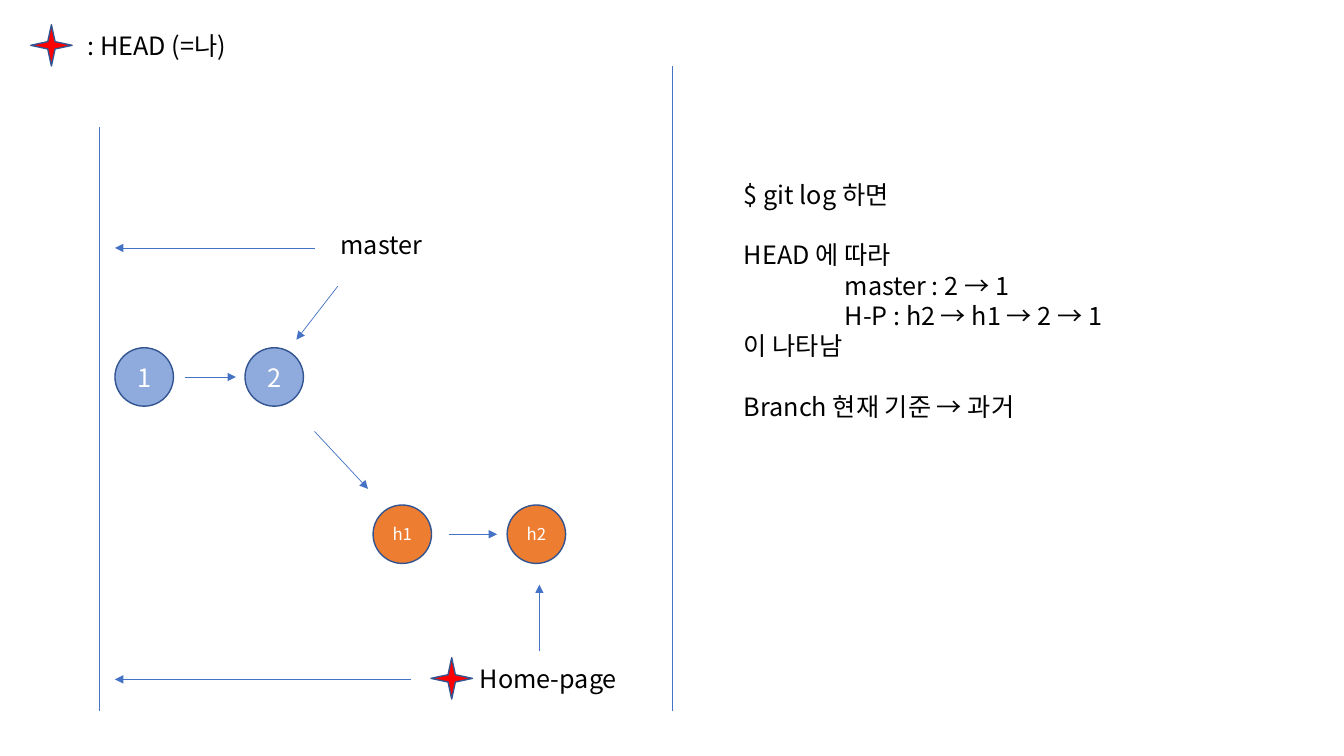
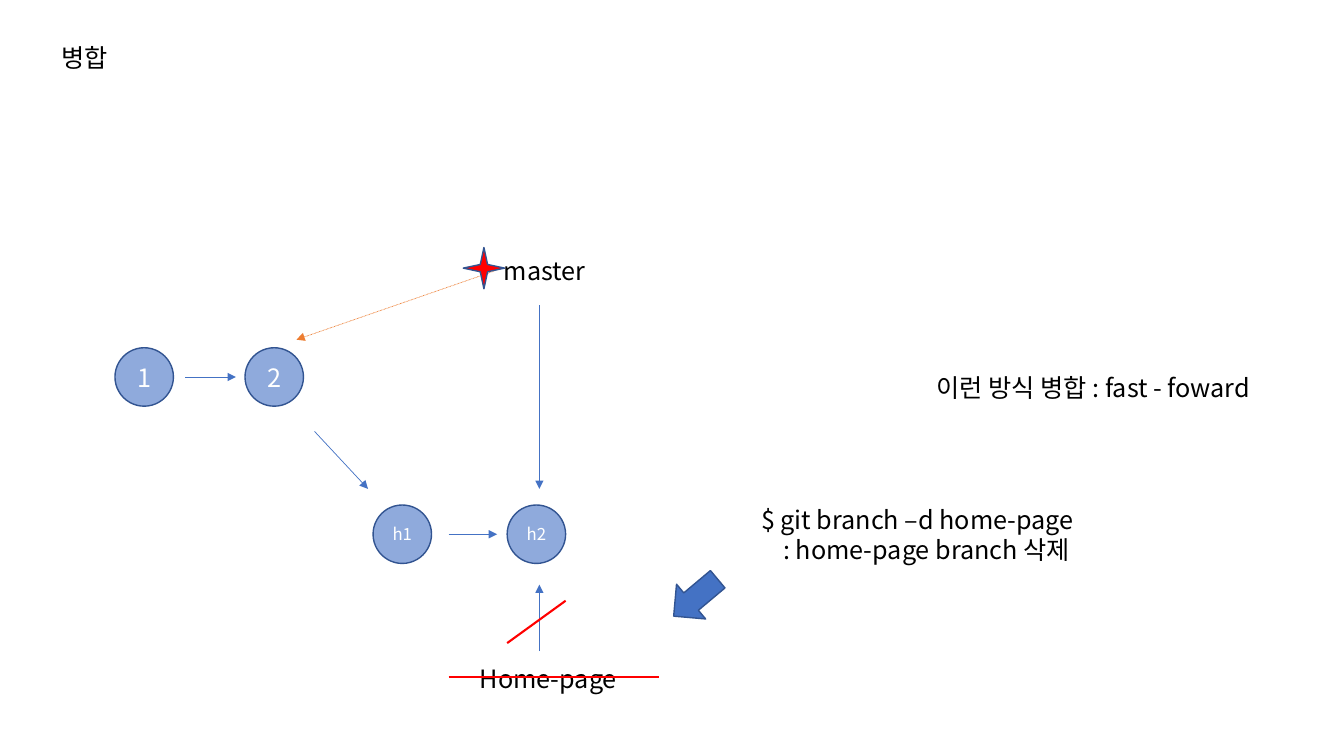
"""Two slides on git branches: HEAD and log, then a fast-forward merge."""
from lxml.etree import SubElement
from pptx import Presentation
from pptx.dml.color import RGBColor
from pptx.enum.dml import MSO_LINE
from pptx.enum.shapes import MSO_CONNECTOR as CONN, MSO_SHAPE as SHAPE
from pptx.enum.text import MSO_ANCHOR as ANCHOR, PP_ALIGN as ALIGN
from pptx.oxml.ns import qn
from pptx.util import Inches, Pt

FONT = "Noto Sans CJK KR"
BLUE, PALE, EDGE = "4472C4", "8FAADC", "325491"
ORANGE, RED, WHITE, BLACK = "ED7D31", "FF0000", "FFFFFF", "000000"
W, H = 13.33, 7.5
MID = W / 2
NODE, STAR, LEADING = 0.58, 0.41, 21.6

COLS = (1.43, 2.72, 3.99, 5.32)
MAIN, BRANCH = 3.74, 5.3
NODES = [("1", COLS[0], MAIN, 18), ("2", COLS[1], MAIN, 18),
         ("h1", COLS[2], BRANCH, 12), ("h2", COLS[3], BRANCH, 12)]
HISTORY = [((1.84, MAIN), (2.34, MAIN)), ((3.12, 4.28), (3.65, 4.85)),
           ((4.45, BRANCH), (4.93, BRANCH)), ((5.35, 6.46), (5.35, 5.8))]
TO_MASTER = (2.94, 3.37)
HOME_Y = 6.73
AXIS, REACH, FLOOR = 0.99, 1.14, 7.05

LOG_NOTES = [("$ git log 하면", 0, 0), ("HEAD 에 따라", 0, 1),
             ("master : 2 → 1", 1, 0), ("H-P : h2 → h1 → 2 → 1", 1, 0),
             ("이 나타남", 0, 0), ("Branch 현재 기준 → 과거", 0, 1)]
DELETE_NOTES = [("$ git branch –d home-page", 0, 0),
                (": home-page branch 삭제", 0.22, 0)]


def rgb(color):
    return RGBColor.from_string(color)


def write(p, text, size=18, color=BLACK):
    r = p.add_run()
    r.text = text
    r.font.size, r.font.name = Pt(size), FONT
    r.font.color.rgb = rgb(color)
    SubElement(r.font._element, qn("a:ea")).set("typeface", FONT)


def add_text(s, x, y, w, lines):
    if isinstance(lines, str):
        lines = [(lines, 0, 0)]
    rows = len(lines) + sum(gap for _, _, gap in lines)
    tf = s.shapes.add_textbox(Inches(x), Inches(y), Inches(w),
                              Inches(0.1 + rows * LEADING / 72)).text_frame
    tf.word_wrap = True
    for i, (text, indent, gap) in enumerate(lines):
        p = tf.add_paragraph() if i else tf.paragraphs[0]
        p.line_spacing, p.space_before = Pt(LEADING), Pt(gap * LEADING)
        p._p.get_or_add_pPr().set("marL", str(Inches(indent)))
        write(p, text)


def add_shape(s, kind, cx, cy, w, h, fill, text="", size=18, turn=0):
    sp = s.shapes.add_shape(kind, Inches(cx - w / 2), Inches(cy - h / 2),
                            Inches(w), Inches(h))
    sp.shadow.inherit = False
    sp.rotation = turn
    sp.fill.solid()
    sp.fill.fore_color.rgb = rgb(fill)
    sp.line.color.rgb, sp.line.width = rgb(EDGE), Pt(1)
    if text:
        tf = sp.text_frame
        tf.vertical_anchor = ANCHOR.MIDDLE
        tf.paragraphs[0].alignment = ALIGN.CENTER
        write(tf.paragraphs[0], text, size=size, color=WHITE)


def add_star(s, cx, cy):
    add_shape(s, SHAPE.STAR_4_POINT, cx, cy, STAR, STAR, RED)


def add_line(s, start, end, color=BLUE, width=0.5, dash=None, arrow=True):
    c = s.shapes.add_connector(CONN.STRAIGHT, *map(Inches, start + end))
    c.line.color.rgb, c.line.width = rgb(color), Pt(width)
    if dash:
        c.line.dash_style = dash
    if arrow:
        SubElement(c.line._get_or_add_ln(), qn("a:tailEnd")).set("type", "triangle")
    SubElement(c._element.spPr, qn("a:effectLst"))


def add_graph(s, branch_fill):
    for start, end in HISTORY:
        add_line(s, start, end)
    for name, x, y, size in NODES:
        fill = PALE if y == MAIN else branch_fill
        add_shape(s, SHAPE.OVAL, x, y, NODE, NODE, fill, text=name, size=size)
    add_text(s, 4.66, HOME_Y - 0.2, 2.18, "Home-page")


def head_slide(s):
    add_graph(s, ORANGE)
    add_line(s, (3.35, 2.84), TO_MASTER)
    add_text(s, 3.28, 2.23, 1.39, "master")
    add_star(s, 0.51, 0.45)
    add_text(s, 0.77, 0.25, 1.87, ": HEAD (=나)")
    add_star(s, 4.48, HOME_Y)
    for x, top in ((MID, 0.65), (AXIS, 1.26)):
        add_line(s, (x, FLOOR), (x, top), arrow=False)
    for x, y in ((3.12, 2.46), (4.08, 6.74)):
        add_line(s, (x, y), (REACH, y))
    add_text(s, 7.28, 1.73, 5.07, LOG_NOTES)


def merge_slide(s):
    add_text(s, 0.51, 0.37, 2.43, "병합")
    add_graph(s, PALE)
    add_line(s, (4.9, 2.69), TO_MASTER, color=ORANGE, dash=MSO_LINE.ROUND_DOT)
    add_line(s, (5.35, 3.03), (5.35, 4.85))
    add_text(s, 4.9, 2.48, 1.39, "master")
    add_star(s, 4.8, 2.66)
    for start, end in (((4.45, 6.72), (6.54, 6.72)), ((5.03, 6.38), (5.61, 5.96))):
        add_line(s, start, end, color=RED, width=1.5, arrow=False)
    add_shape(s, SHAPE.DOWN_ARROW, 6.9, 5.93, 0.45, 0.57, BLUE, turn=50)
    add_text(s, 7.45, 4.95, 4.64, DELETE_NOTES)
    add_text(s, 9.19, 3.64, 3.67, "이런 방식 병합 : fast - foward")


def main():
    prs = Presentation()
    prs.slide_width, prs.slide_height = Inches(W), Inches(H)
    for build in (head_slide, merge_slide):
        build(prs.slides.add_slide(prs.slide_layouts[6]))
    prs.save("out.pptx")


if __name__ == "__main__":
    main()
